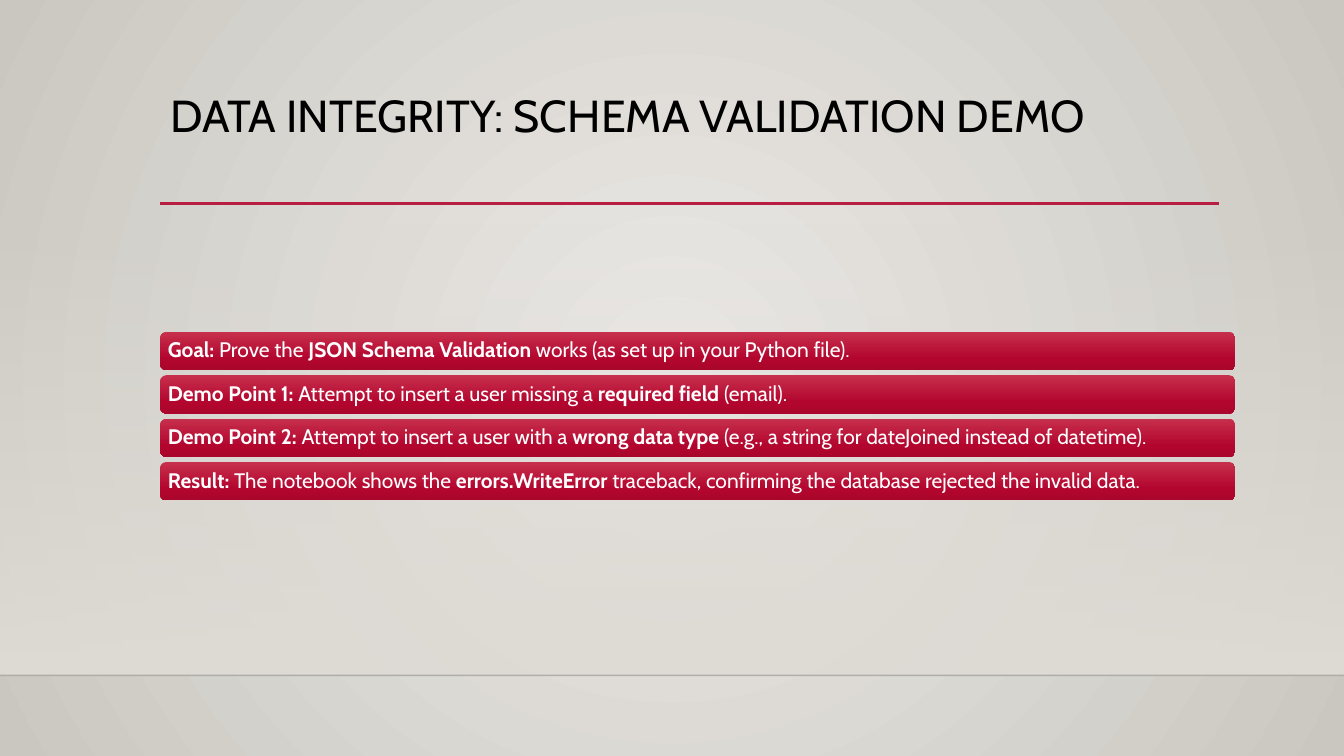
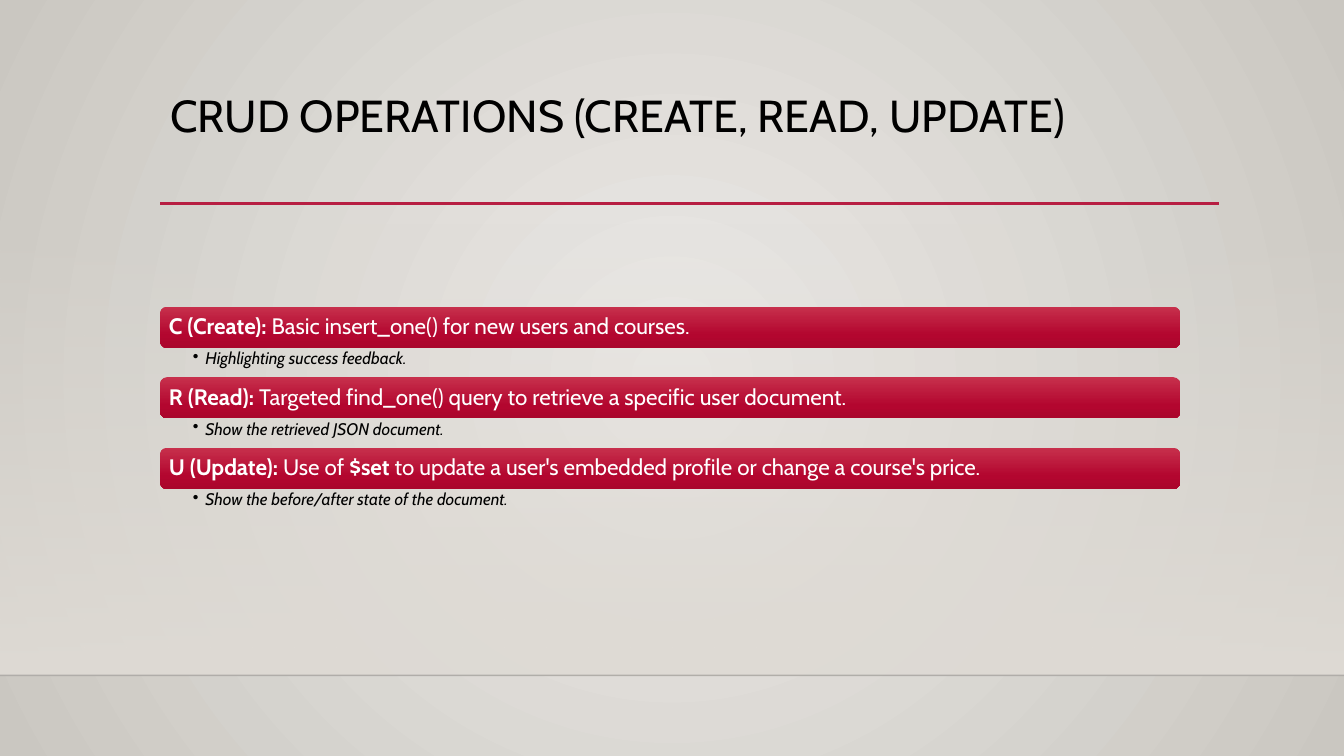
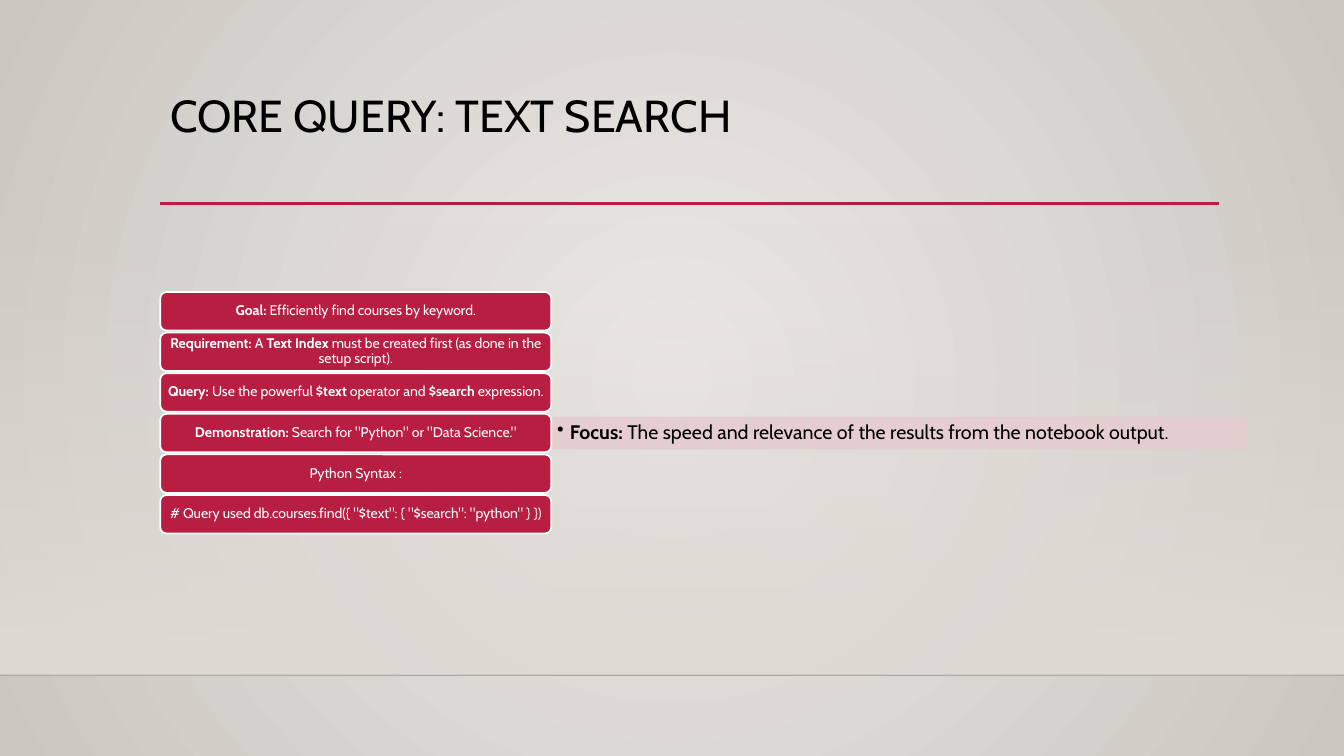
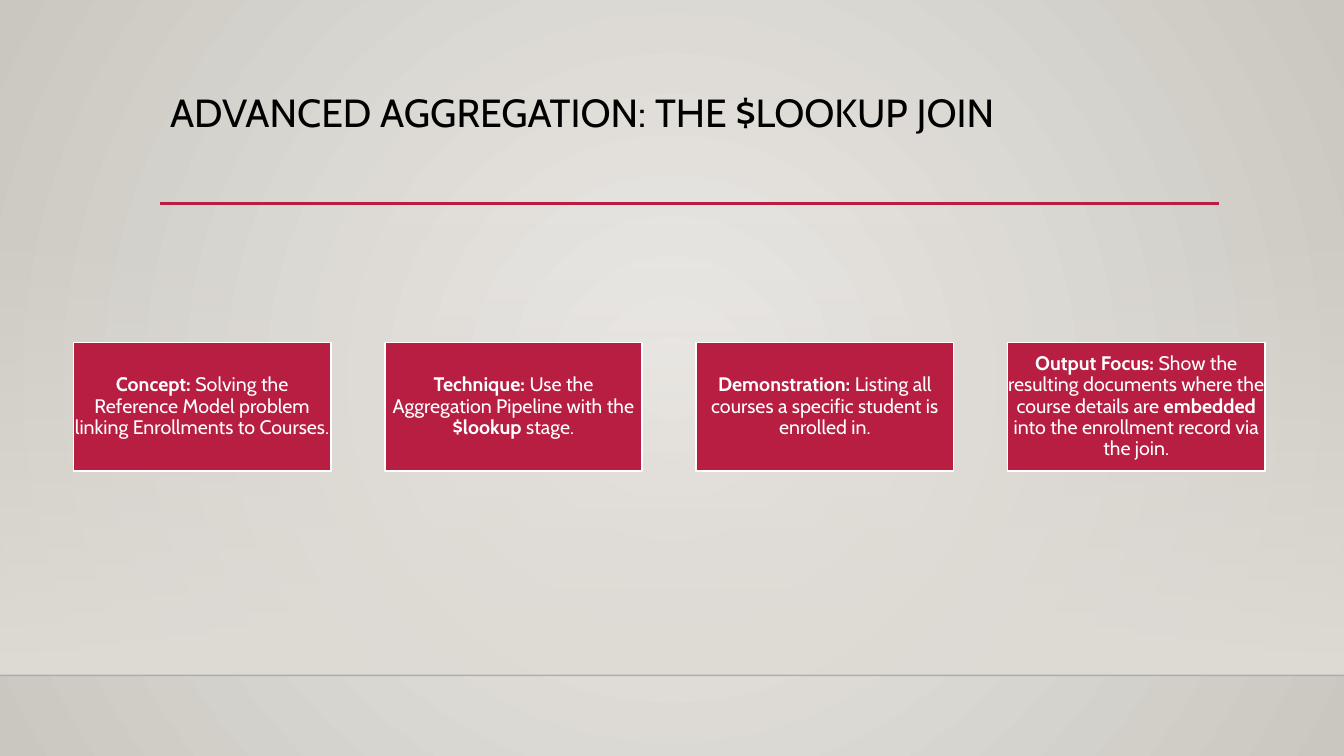
from lxml import etree
from pptx import Presentation
from pptx.dml.color import RGBColor
from pptx.enum.shapes import MSO_CONNECTOR, MSO_SHAPE
from pptx.enum.text import MSO_ANCHOR, PP_ALIGN
from pptx.oxml.ns import qn
from pptx.util import Pt

ROUNDED, RECT = MSO_SHAPE.ROUNDED_RECTANGLE, MSO_SHAPE.RECTANGLE
TAB = MSO_SHAPE.ROUND_2_SAME_RECTANGLE
STRAIGHT = MSO_CONNECTOR.STRAIGHT
TOP, MIDDLE = MSO_ANCHOR.TOP, MSO_ANCHOR.MIDDLE
LEFT, CENTER = PP_ALIGN.LEFT, PP_ALIGN.CENTER

FONT = "Cabin"
BLACK = RGBColor(0x00, 0x00, 0x00)
HORIZON = RGBColor(0x00, 0x00, 0x01)
WHITE = RGBColor(0xFF, 0xFF, 0xFF)
CRIMSON = RGBColor(0xB7, 0x1E, 0x42)
PINK = RGBColor(0xE6, 0xCD, 0xCF)
WALL_LIGHT = RGBColor(0xEC, 0xEA, 0xE7)
WALL_DARK = RGBColor(0xCA, 0xC7, 0xC1)
HAZE = RGBColor(0xDF, 0xDB, 0xD5)
BAR_TOP = RGBColor(0xC7, 0x30, 0x4C)
BAR_MID = RGBColor(0xB3, 0x06, 0x2F)
BAR_LOW = RGBColor(0xAA, 0x06, 0x2C)

# Gradient stops: percent, colour, opacity percent
WALL_STOPS = [(0, WALL_LIGHT, 100), (100, WALL_DARK, 100)]
HAZE_STOPS = [(0, HAZE, 0), (100, HAZE, 100)]
BAR_STOPS = [(0, BAR_TOP, 100), (69, BAR_MID, 100), (100, BAR_LOW, 100)]

SLIDE_W, SLIDE_H = 960, 540
MARGIN = 114.4
HORIZON_Y = 482.4

VALIDATION_POINTS = [
    "**Goal:** Prove the **JSON Schema Validation** works (as set up in your Python file).",
    "**Demo Point 1:** Attempt to insert a user missing a **required field** (email).",
    "**Demo Point 2:** Attempt to insert a user with a **wrong data type** "
    "(e.g., a string for dateJoined instead of datetime).",
    "**Result:** The notebook shows the **errors.WriteError** traceback, "
    "confirming the database rejected the invalid data.",
]
CRUD_STEPS = [
    ("**C (Create):** Basic insert_one() for new users and courses.",
     "Highlighting success feedback."),
    ("**R (Read):** Targeted find_one() query to retrieve a specific user document.",
     "Show the retrieved JSON document."),
    ("**U (Update):** Use of **$set** to update a user's embedded profile "
     "or change a course's price.",
     "Show the before/after state of the document."),
]
# Each search step may have a focus note to its right
SEARCH_STEPS = [
    ("**Goal:** Efficiently find courses by keyword.", None),
    ("**Requirement:** A **Text Index** must be created first "
     "(as done in the setup script).", None),
    ("**Query:** Use the powerful **$text** operator and **$search** expression.", None),
    ('**Demonstration:** Search for "Python" or "Data Science."',
     "**Focus:** The speed and relevance of the results from the notebook output."),
    ("Python Syntax :", None),
    ('# Query used db.courses.find({ "$text": { "$search": "python" } })', None),
]
LOOKUP_CARDS = [
    "**Concept:** Solving the Reference Model problem linking Enrollments to Courses.",
    "**Technique:** Use the Aggregation Pipeline with the **$lookup** stage.",
    "**Demonstration:** Listing all courses a specific student is enrolled in.",
    "**Output Focus:** Show the resulting documents where the course details are "
    "**embedded** into the enrollment record via the join.",
]


def set_gradient(owner, fill, stops, radial=False):
    """Fill with stops, from top to bottom or from the centre outwards."""
    fill.gradient()
    gradient = owner.element.find(".//" + qn("a:gradFill"))
    for child in list(gradient):
        gradient.remove(child)
    stop_list = etree.SubElement(gradient, qn("a:gsLst"))
    for percent, color, opacity in stops:
        stop = etree.SubElement(stop_list, qn("a:gs"), pos=str(percent * 1000))
        tint = etree.SubElement(stop, qn("a:srgbClr"), val=str(color))
        if opacity < 100:
            etree.SubElement(tint, qn("a:alpha"), val=str(opacity * 1000))
    if radial:
        rings = etree.SubElement(gradient, qn("a:path"), path="circle")
        etree.SubElement(rings, qn("a:fillToRect"), dict.fromkeys("ltrb", "50000"))
    else:
        etree.SubElement(gradient, qn("a:lin"), ang="5400000", scaled="0")


def set_opacity(shape, percent):
    for tint in shape.element.spPr.iter(qn("a:srgbClr")):
        etree.SubElement(tint, qn("a:alpha"), val=str(percent * 1000))


def add_rule(slide, left, right, y, color, weight):
    rule = slide.shapes.add_connector(STRAIGHT, Pt(left), Pt(y), Pt(right), Pt(y))
    rule.line.color.rgb = color
    rule.line.width = Pt(weight)
    etree.SubElement(rule.element.spPr, qn("a:effectLst"))
    return rule


def add_panel(slide, preset, box, fill=None, stops=None, outline=None):
    panel = slide.shapes.add_shape(preset, *map(Pt, box))
    panel.shadow.inherit = False
    if stops:
        set_gradient(panel, panel.fill, stops)
    else:
        panel.fill.solid()
        panel.fill.fore_color.rgb = fill
    if outline is None:
        panel.line.fill.background()
    else:
        panel.line.color.rgb = outline
        panel.line.width = Pt(1.25)
    return panel


def write(shape, text, size, color, insets, align=LEFT, anchor=MIDDLE,
          italic=False, bullet=False):
    """Write one paragraph; parts between ** marks are bold."""
    frame = shape.text_frame
    frame.word_wrap = True
    frame.vertical_anchor = anchor
    for side, inset in zip(("left", "top", "right", "bottom"), insets):
        setattr(frame, f"margin_{side}", Pt(inset))
    paragraph = frame.paragraphs[0]
    paragraph.alignment = align
    paragraph.line_spacing = 0.9
    if bullet:
        properties = paragraph._p.get_or_add_pPr()
        properties.set("marL", str(Pt(9)))
        properties.set("indent", str(Pt(-9)))
        etree.SubElement(properties, qn("a:buChar"), char="•")
    looks = {"name": FONT, "size": Pt(size), "italic": italic}
    for index, part in enumerate(text.split("**")):
        if part:
            run = paragraph.add_run()
            run.text = part
            for name, value in looks.items():
                setattr(run.font, name, value)
            run.font.bold = index % 2 == 1
            run.font.color.rgb = color


def add_text(slide, box, text, size, insets, **style):
    write(slide.shapes.add_textbox(*map(Pt, box)), text, size, BLACK, insets, **style)


def add_titled_slide(prs, title, size=32):
    slide = prs.slides.add_slide(prs.slide_layouts[6])
    add_panel(slide, RECT, (0, 159, SLIDE_W, HORIZON_Y - 159), stops=HAZE_STOPS)
    set_opacity(add_rule(slide, 0, SLIDE_W, HORIZON_Y, HORIZON, 1), 20)
    add_rule(slide, MARGIN, 871, 145.4, CRIMSON, 2.5)
    add_text(slide, (MARGIN, 63.4, 756, 82.8), title, size, (7.2, 3.6, 7.2, 3.6),
             anchor=TOP)
    return slide


def add_bar(slide, box, text, size, inset):
    bar = add_panel(slide, ROUNDED, box, stops=BAR_STOPS)
    write(bar, text, size, WHITE, [inset] * 4)


def add_bar_list(slide, box, points, gap=3.5):
    left, top, width, height = box
    pitch = (height + gap) / len(points)
    for row, point in enumerate(points):
        add_bar(slide, (left, top + row * pitch, width, pitch - gap), point, 15, 4.2)


def add_step_list(slide, box, steps, note_height=20.9):
    """Stack bars, each with a bulleted note below it."""
    left, top, width, height = box
    pitch = height / len(steps)
    bar_height = pitch - note_height
    for row, (step, note) in enumerate(steps):
        y = top + row * pitch
        add_bar(slide, (left, y, width, bar_height), step, 16, 4.8)
        add_text(slide, (left, y + bar_height, width, note_height), note, 12,
                 (23.3, 1.5, 8.5, 1.5), anchor=TOP, italic=True, bullet=True)


def add_focus_note(slide, box, text):
    """Lay a tab on its side, rounded at the right, and write over it."""
    left, top, width, height = box
    shift = (width - height) / 2
    tab = add_panel(slide, TAB, (left + shift, top - shift, height, width),
                    fill=PINK, outline=PINK)
    tab.rotation = 90
    set_opacity(tab, 90)
    add_text(slide, box, text, 14, (4.2, 2.1, 4.2, 2.1), bullet=True)


def add_search_list(slide, box, steps, step_width=279.4, gap=1.5):
    left, top, width, height = box
    pitch = (height + gap) / len(steps)
    step_height = pitch - gap
    for row, (step, focus) in enumerate(steps):
        y = top + row * pitch
        if focus:
            add_focus_note(slide, (left + step_width, y + 2.6, width - step_width,
                                   step_height - 5.2), focus)
        tile = add_panel(slide, ROUNDED, (left, y, step_width, step_height),
                         fill=CRIMSON, outline=WHITE)
        write(tile, step, 10, WHITE, (2.7, 1.35, 2.7, 1.35), align=CENTER)


def add_card_row(slide, box, cards, gap=38.4):
    left, top, width, height = box
    pitch = (width + gap) / len(cards)
    for column, text in enumerate(cards):
        card = add_panel(slide, RECT, (left + column * pitch, top, pitch - gap, height),
                         fill=CRIMSON, outline=WHITE)
        write(card, text, 14, WHITE, [0.5] * 4, align=CENTER)


def main():
    prs = Presentation()
    prs.slide_width, prs.slide_height = Pt(SLIDE_W), Pt(SLIDE_H)
    master = prs.slide_master
    set_gradient(master, master.background.fill, WALL_STOPS, radial=True)

    slide = add_titled_slide(prs, "DATA INTEGRITY: SCHEMA VALIDATION DEMO")
    add_bar_list(slide, (MARGIN, 237, 768, 120.5), VALIDATION_POINTS)

    slide = add_titled_slide(prs, "CRUD OPERATIONS (CREATE, READ, UPDATE)")
    add_step_list(slide, (MARGIN, 219, 728.6, 151.2), CRUD_STEPS)

    slide = add_titled_slide(prs, "CORE QUERY: TEXT SEARCH")
    add_search_list(slide, (MARGIN, 208.6, 776.2, 172.5), SEARCH_STEPS)

    slide = add_titled_slide(prs, "ADVANCED AGGREGATION: THE $LOOKUP JOIN", size=28)
    add_card_row(slide, (52.4, 244.6, 851.2, 92), LOOKUP_CARDS)

    prs.save("out.pptx")


if __name__ == "__main__":
    main()
